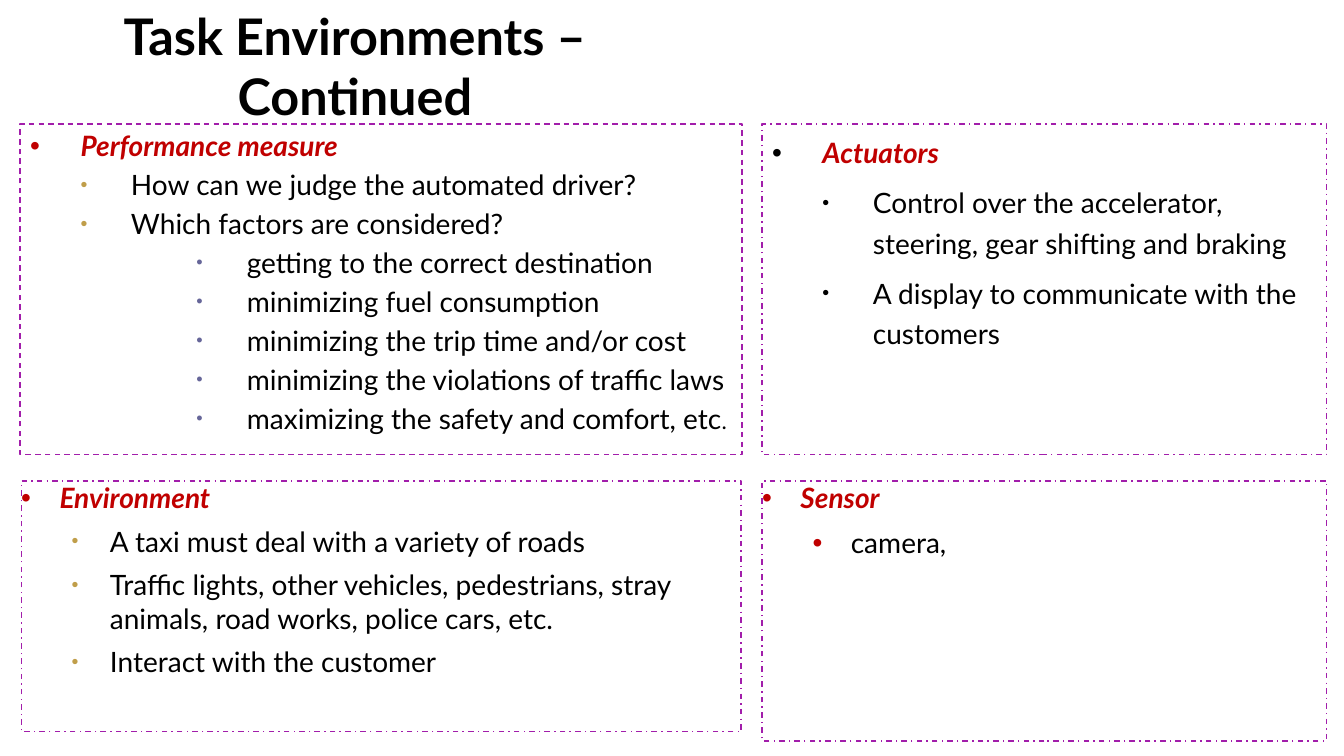
import dataclasses
import lxml.etree
import pptx
import pptx.dml.color
import pptx.enum.dml
import pptx.enum.shapes
import pptx.enum.text
import pptx.oxml.ns
import pptx.util

WIDE, HIGH = pptx.util.Inches(13.33), pptx.util.Inches(7.5)
FACE = "Lato"
BLACK, RED, GOLD, SLATE, PURPLE = "000000", "C00000", "C09E4A", "666699", "A21EAB"
DASH = pptx.enum.dml.MSO_LINE.DASH
DOTTED = pptx.enum.dml.MSO_LINE.DASH_DOT


@dataclasses.dataclass
class Style:
    level: int
    left: float  # inches
    hang: float  # inches
    before: float  # points
    dot: str
    scale: int = 100  # bullet size in percent


@dataclasses.dataclass
class Item:
    text: str
    style: Style
    tail: str = ""  # ending set in smaller type


@dataclasses.dataclass
class Panel:
    area: tuple[float, float, float, float]  # percent of slide size
    dash: pptx.enum.dml.MSO_LINE
    inset: tuple[float, float]  # inches, across and down
    head: str
    top: Style
    items: list[Item]
    lines: float | None = None


def color(code: str) -> pptx.dml.color.RGBColor:
    return pptx.dml.color.RGBColor.from_string(code)


def place(area: tuple[float, float, float, float]) -> list[int]:
    return [round(part * side / 100) for part, side in zip(area, (WIDE, HIGH, WIDE, HIGH))]


def set_font(font, size: float, code: str, bold: bool, slant: bool) -> None:
    font.name, font.size = FACE, pptx.util.Pt(size)
    font.bold, font.italic = bold, slant
    font.color.rgb = color(code)


def add_bullet(para, style: Style) -> None:
    props = para._p.get_or_add_pPr()
    props.set("marL", str(pptx.util.Inches(style.left)))
    props.set("indent", str(-pptx.util.Inches(style.hang)))

    def add(parent, tag: str, **attrs: str):
        return lxml.etree.SubElement(parent, pptx.oxml.ns.qn(tag), attrs)

    add(add(props, "a:buClr"), "a:srgbClr", val=style.dot)
    add(props, "a:buSzPct", val=str(style.scale * 1000))
    add(props, "a:buFont", typeface="Arial")
    add(props, "a:buChar", char="•")


def add_title(slide, text: str) -> None:
    frame = slide.shapes.add_textbox(*place((0, 0, 52.81, 9.47))).text_frame
    frame.word_wrap = True
    frame.auto_size = pptx.enum.text.MSO_AUTO_SIZE.SHAPE_TO_FIT_TEXT
    para = frame.paragraphs[0]
    para.alignment = pptx.enum.text.PP_ALIGN.CENTER
    para.add_run().text = text
    set_font(para.font, 36, BLACK, True, False)


def add_panel(slide, panel: Panel) -> None:
    # Dashed frame
    shape = slide.shapes.add_shape(pptx.enum.shapes.MSO_SHAPE.RECTANGLE, *place(panel.area))
    shape.shadow.inherit = False
    shape.fill.background()
    shape.line.color.rgb = color(PURPLE)
    shape.line.width = pptx.util.Pt(1)
    shape.line.dash_style = panel.dash

    # Bulleted text
    frame = shape.text_frame
    frame.word_wrap = True
    frame.vertical_anchor = pptx.enum.text.MSO_ANCHOR.TOP
    across, down = map(pptx.util.Inches, panel.inset)
    frame.margin_left = frame.margin_right = across
    frame.margin_top = frame.margin_bottom = down
    for rank, item in enumerate([Item(panel.head, panel.top), *panel.items]):
        first = rank == 0
        para = frame.paragraphs[0] if first else frame.add_paragraph()
        para.alignment = pptx.enum.text.PP_ALIGN.LEFT
        para.level = item.style.level
        para.space_before = pptx.util.Pt(item.style.before)
        if panel.lines:
            para.line_spacing = panel.lines
        add_bullet(para, item.style)
        para.add_run().text = item.text
        set_font(para.font, 20, RED if first else BLACK, first, first)
        if item.tail:
            run = para.add_run()
            run.text = item.tail
            run.font.size = pptx.util.Pt(16)


# Bullet styles
WIDE_TOP = Style(0, 0.5, 0.5, 0, RED)
DARK_TOP = Style(0, 0.5, 0.5, 0, BLACK)
SLIM_TOP = Style(0, 0.38, 0.38, 0, RED)
ASK = Style(1, 1, 0.5, 3.8, GOLD, 70)
GOAL = Style(4, 2.15, 0.5, 3.8, SLATE, 65)
ACT = Style(1, 1, 0.5, 7, BLACK, 70)
ROAD = Style(1, 0.88, 0.38, 7, GOLD, 70)
SENSE = Style(1, 0.88, 0.38, 8, RED)

# Shared grid edges, in percent
RIGHT, SPAN = 56.71, 42.01
UPPER, DEPTH, LOWER = 16.4, 43.73, 63.6

PANELS = [
    Panel((1.5, UPPER, 53.71, DEPTH), DASH, (0.1, 0.05), "Performance measure", WIDE_TOP, [
        Item("How can we judge the automated driver?", ASK),
        Item("Which factors are considered?", ASK),
        Item("getting to the correct destination", GOAL),
        Item("minimizing fuel consumption", GOAL),
        Item("minimizing the trip time and/or cost", GOAL),
        Item("minimizing the violations of traffic laws", GOAL),
        Item("maximizing the safety and comfort, etc", GOAL, "."),
    ]),
    Panel((RIGHT, UPPER, SPAN, DEPTH), DOTTED, (0.1, 0.05), "Actuators", DARK_TOP, [
        Item("Control over the accelerator, steering, gear shifting and braking", ACT),
        Item("A display to communicate with the customers", ACT),
    ], 1.2),
    Panel((1.58, LOWER, 53.56, 33.2), DOTTED, (0, 0), "Environment", SLIM_TOP, [
        Item("A taxi must deal with a variety of roads", ROAD),
        Item("Traffic lights, other vehicles, pedestrians, stray animals, "
             "road works, police cars, etc.", ROAD),
        Item("Interact with the customer", ROAD),
    ]),
    Panel((RIGHT, LOWER, SPAN, 34.4), DOTTED, (0, 0), "Sensor", SLIM_TOP, [
        Item("camera,", SENSE),
    ]),
]


def main() -> None:
    deck = pptx.Presentation()
    deck.slide_width, deck.slide_height = WIDE, HIGH
    slide = deck.slides.add_slide(deck.slide_layouts[6])
    add_title(slide, "Task Environments – Continued")
    for panel in PANELS:
        add_panel(slide, panel)
    deck.save("out.pptx")


if __name__ == "__main__":
    main()
